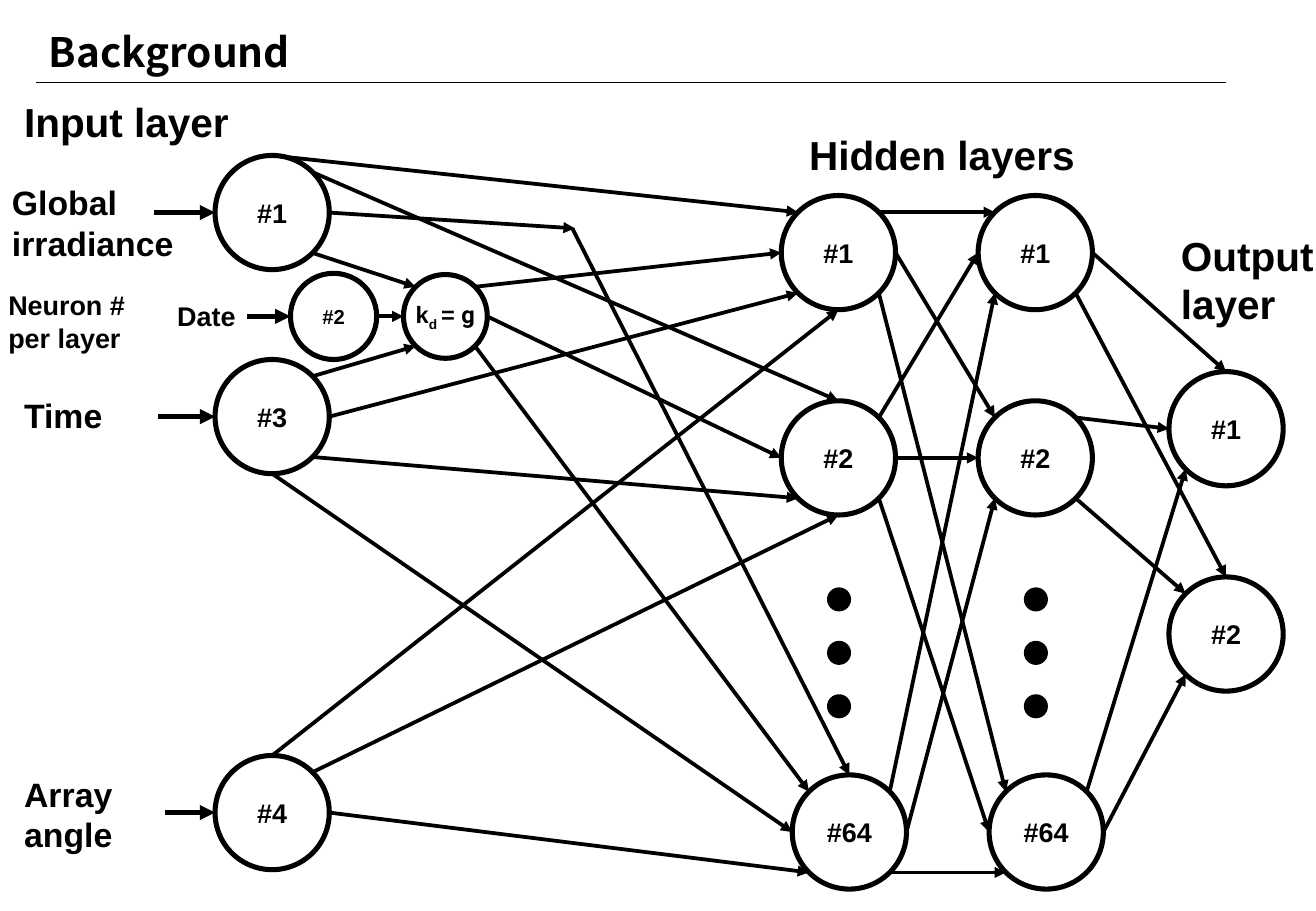
from math import sqrt

from lxml import etree
from pptx import Presentation
from pptx import util as u
from pptx.dml.color import RGBColor
from pptx.enum import shapes, text
from pptx.oxml.ns import qn

BLACK = RGBColor(0, 0, 0)
WHITE = RGBColor(255, 255, 255)
BODY_FONT = "Arial"
TITLE_FONT = "Noto Sans CJK JP"
SYMBOL_FONT = "Roboto"

NEURON = 0.94
DIAGONAL = 1 / sqrt(2)
# Compass points on a circle of radius 1
SIDES = {
    "N": (0, -1), "S": (0, 1), "W": (-1, 0), "E": (1, 0),
    "NW": (-DIAGONAL, -DIAGONAL), "NE": (DIAGONAL, -DIAGONAL),
    "SW": (-DIAGONAL, DIAGONAL), "SE": (DIAGONAL, DIAGONAL),
}


class NetworkPage:
    def __init__(self, deck):
        self.page = deck.slides.add_slide(deck.slide_layouts[5])
        self.circles = {}

    def style(self, para, size, font=BODY_FONT):
        para.font.name = font
        para.font.size = u.Pt(size)
        para.font.bold = True
        para.font.color.rgb = BLACK

    def title(self, words, left, top, width, height):
        box = self.page.shapes.title
        box.left, box.top = u.Inches(left), u.Inches(top)
        box.width, box.height = u.Inches(width), u.Inches(height)
        frame = box.text_frame
        frame.text = words
        frame.auto_size = text.MSO_AUTO_SIZE.NONE
        frame.vertical_anchor = text.MSO_ANCHOR.MIDDLE
        para = frame.paragraphs[0]
        para.alignment = text.PP_ALIGN.LEFT
        self.style(para, 24, TITLE_FONT)

    def caption(self, words, left, top, width, height, size):
        box = self.page.shapes.add_textbox(
            u.Inches(left), u.Inches(top), u.Inches(width), u.Inches(height))
        box.text_frame.word_wrap = True
        box.text_frame.text = words
        self.style(box.text_frame.paragraphs[0], size)

    def circle(self, left, top, size, fill=WHITE, weight=3):
        shape = self.page.shapes.add_shape(
            shapes.MSO_SHAPE.OVAL, u.Inches(left), u.Inches(top),
            u.Inches(size), u.Inches(size))
        shape.shadow.inherit = False
        shape.fill.solid()
        shape.fill.fore_color.rgb = fill
        shape.line.color.rgb = BLACK
        shape.line.width = u.Pt(weight)
        return shape

    def neuron(self, key, label, left, top, size=NEURON, text_size=16):
        shape = self.circle(left, top, size)
        self.circles[key] = (left + size / 2, top + size / 2, size / 2)
        frame = shape.text_frame
        frame.margin_left = frame.margin_right = 0
        frame.word_wrap = False
        frame.vertical_anchor = text.MSO_ANCHOR.MIDDLE
        para = frame.paragraphs[0]
        para.alignment = text.PP_ALIGN.CENTER
        self.style(para, text_size)
        para.add_run().text = label
        return para

    def side(self, key, compass):
        x, y, radius = self.circles[key]
        dx, dy = SIDES[compass]
        return x + dx * radius, y + dy * radius

    def line(self, start, end, weight=2.25, arrow=True):
        connector = self.page.shapes.add_connector(
            shapes.MSO_CONNECTOR.STRAIGHT,
            *(u.Inches(value) for value in (*start, *end)))
        connector.line.color.rgb = BLACK
        connector.line.width = u.Pt(weight)
        if arrow:
            outline = connector.line._get_or_add_ln()
            etree.SubElement(outline, qn("a:tailEnd"), type="triangle")
        etree.SubElement(connector._element.spPr, qn("a:effectLst"))

    def link(self, route):
        source, leave, target, enter = route.split()
        self.line(self.side(source, leave), self.side(target, enter))


# "from side to side": in = input, a and b = hidden, out = output
LINKS = [
    # Inputs to the combined neuron
    "in1 SE kd NW", "in2 E kd W", "in3 NE kd SW",
    # Inputs to the first hidden layer
    "in1 N a1 NW", "in1 NE a2 N",
    "kd NE a1 W", "kd E a2 W", "kd SE a64 NW",
    "in3 E a1 SW", "in3 SE a2 SW", "in3 S a64 W",
    "in4 N a1 S", "in4 NE a2 S", "in4 E a64 SW",
    # First hidden layer to the second
    "a1 NE b1 NW", "a1 E b2 NW", "a1 SE b64 NW",
    "a2 NE b1 W", "a2 E b2 W", "a2 SE b64 W",
    "a64 NE b1 SW", "a64 E b2 SW", "a64 SE b64 SW",
    # Second hidden layer to the outputs
    "b1 E out1 N", "b1 SE out2 N",
    "b2 NE out1 W", "b2 SE out2 NW",
    "b64 NE out1 SW", "b64 E out2 SW",
]


def main():
    deck = Presentation()
    deck.slide_width, deck.slide_height = u.Inches(10.83), u.Inches(7.5)
    network = NetworkPage(deck)

    # Heading
    network.title("Background", 0.3, 0.12, 6.65, 0.6)
    network.line((0.3, 0.68), (10.09, 0.68), 0.75, arrow=False)

    # Captions
    for caption in [
        ("Input layer", 0.1, 0.75, 2.06, 0.5, 24),
        ("Hidden layers", 6.56, 1.02, 2.43, 0.5, 24),
        ("Output layer", 9.62, 1.85, 1.41, 0.91, 24),
        ("Global irradiance", 0, 1.45, 1.61, 0.77, 20),
        ("Time", 0.1, 3.2, 0.97, 0.44, 20),
        ("Array angle", 0.1, 6.32, 1.08, 0.77, 20),
        ("Neuron # per layer", -0.03, 2.33, 1.24, 0.64, 16),
        ("Date", 1.36, 2.42, 0.74, 0.37, 16),
    ]:
        network.caption(*caption)

    # Input layer, each neuron with its incoming arrow
    for number, left, top, size, text_size, arrow_start in [
        (1, 1.77, 1.28, NEURON, 16, 1.27),
        (2, 2.39, 2.25, 0.71, 12, 2.03),
        (3, 1.77, 2.96, NEURON, 16, 1.3),
        (4, 1.77, 6.22, NEURON, 16, 1.36),
    ]:
        key = f"in{number}"
        network.neuron(key, f"#{number}", left, top, size, text_size)
        end = network.side(key, "W")
        network.line((arrow_start, end[1]), end, 3)

    # Combined neuron
    para = network.neuron("kd", "k", 3.32, 2.26, 0.69, 14)
    subscript, equals, symbol = (para.add_run() for _ in range(3))
    subscript.text, equals.text, symbol.text = "d ", "= ", "g"
    subscript.font._element.set("baseline", "-25000")
    symbol.font.name = SYMBOL_FONT

    # Hidden layers
    for layer, left in (("a", 6.43), ("b", 8.05)):
        for number, shift, top in ((1, 0, 1.61), (2, 0, 3.3), (64, 0.09, 6.38)):
            network.neuron(f"{layer}{number}", f"#{number}", left + shift, top)
        for step in range(3):
            network.circle(left + 0.39, 4.85 + 0.44 * step, 0.17, BLACK, 2)

    # Output layer
    for number, top in ((1, 3.06), (2, 4.75)):
        network.neuron(f"out{number}", f"#{number}", 9.62, top)

    # Links, with one that bends on its way
    for route in LINKS:
        network.link(route)
    network.line(network.side("in1", "E"), (4.73, 1.88))
    network.line((4.71, 1.88), network.side("a64", "N"))

    deck.save("out.pptx")


if __name__ == "__main__":
    main()
